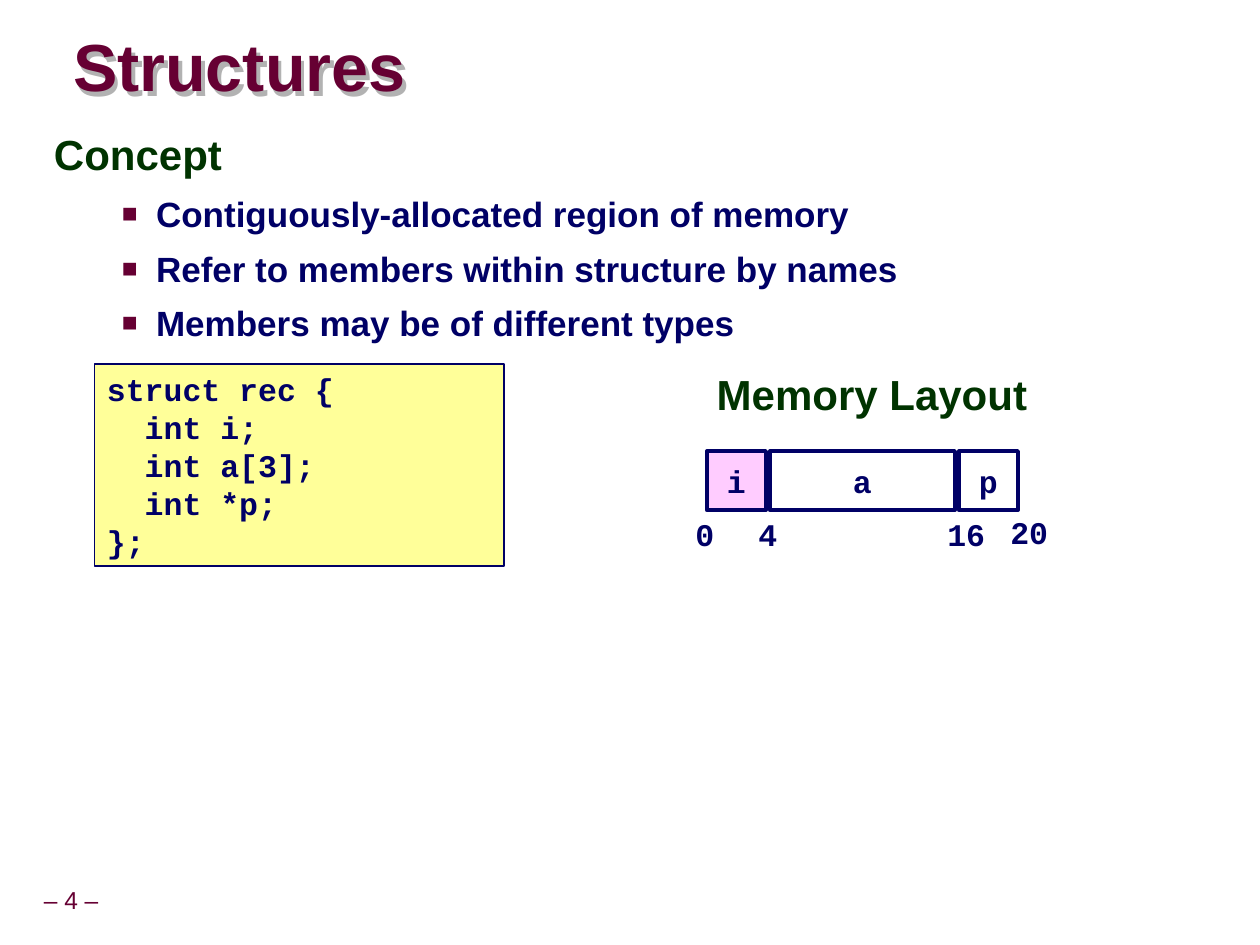
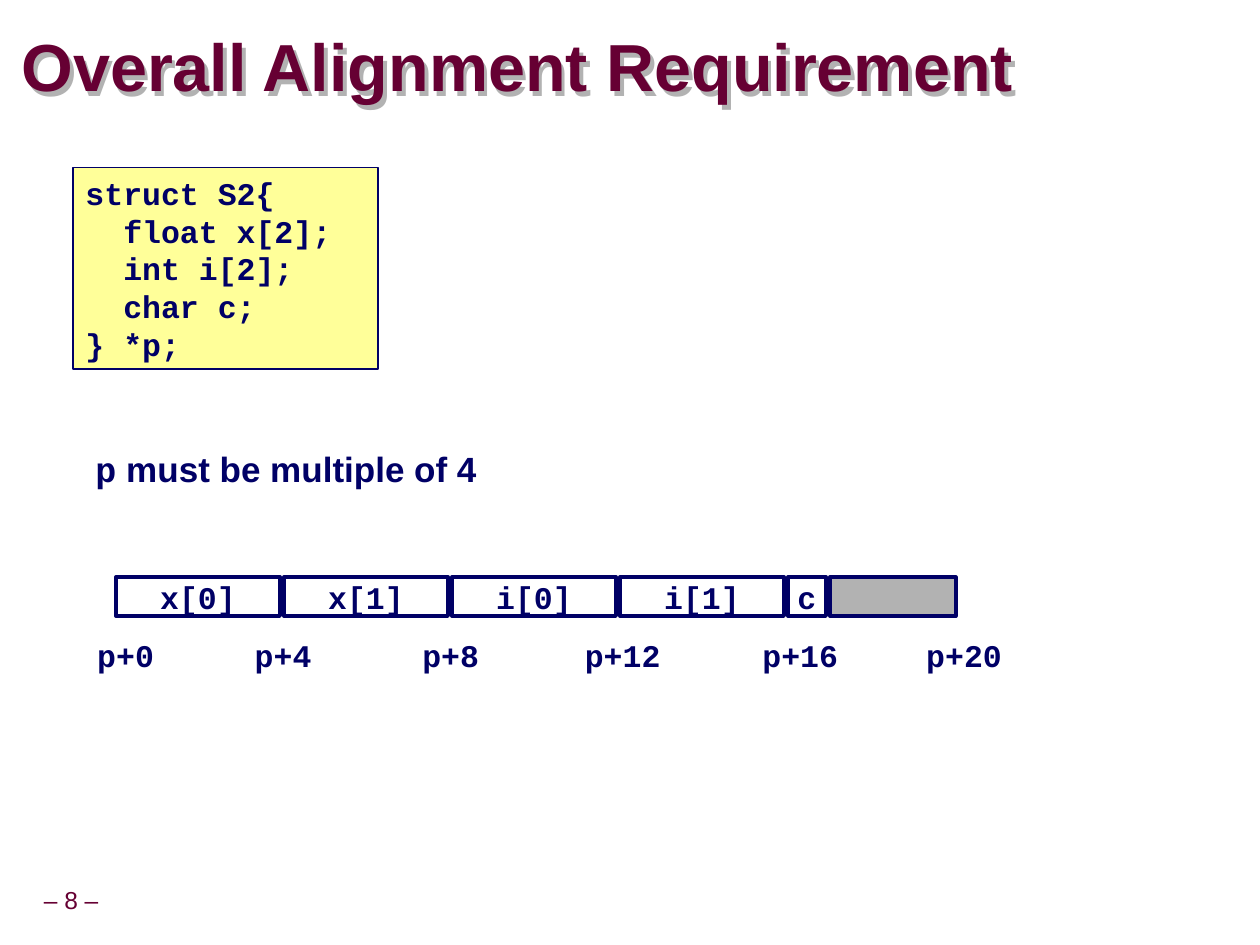
import pptx
import pptx.util
import pptx.dml.color
import pptx.enum.shapes
import pptx.enum.text
import pptx.oxml
import pptx.oxml.ns
from lxml import etree

Inches = pptx.util.Inches
Pt = pptx.util.Pt
RGBColor = pptx.dml.color.RGBColor
ALIGN = pptx.enum.text.PP_ALIGN
MIDDLE = pptx.enum.text.MSO_ANCHOR.MIDDLE

MAROON = RGBColor(0x66, 0x00, 0x33)
NAVY = RGBColor(0x00, 0x00, 0x66)
GREEN = RGBColor(0x00, 0x33, 0x00)
YELLOW = RGBColor(0xFF, 0xFF, 0x99)
PINK = RGBColor(0xFF, 0xCC, 0xFF)
WHITE = RGBColor(0xFF, 0xFF, 0xFF)
GREY = RGBColor(0xB2, 0xB2, 0xB2)
SANS, MONO = "Arial", "Courier New"
CELL_GAP = 0.03

STRUCTURES = {
    "title": ("Structures", 0.58, 5.74),
    "number": 4,
    "code": (0.75, 2.89, 3.25, ["struct rec {", "  int i;", "  int a[3];", "  int *p;", "};"]),
    "layout": {
        "left": 5.61, "top": 3.58, "height": 0.47, "byte": 0.125,
        "cells": [("i", 4, PINK), ("a", 12, WHITE), ("p", 4, WHITE)],
    },
    "offsets": [("0", 5.42, 4.04), ("4", 5.92, 4.04), ("16", 7.42, 4.04), ("20", 7.92, 4.02)],
    "offset_align": ALIGN.LEFT,
}
CONCEPT = "Concept"
CONCEPT_POINTS = [
    "Contiguously-allocated region of memory",
    "Refer to members within structure by names",
    "Members may be of different types",
]
LAYOUT_HEADING = "Memory Layout"

ALIGNMENT = {
    "title": ("Overall Alignment Requirement", 0.17, 10.11),
    "number": 8,
    "code": (0.58, 1.33, 2.42, ["struct S2{", "  float x[2];", "  int i[2];", "  char c;", "} *p;"]),
    "layout": {
        "left": 0.92, "top": 4.58, "height": 0.31, "byte": 1 / 3,
        "cells": [("x[0]", 4, WHITE), ("x[1]", 4, WHITE), ("i[0]", 4, WHITE),
                  ("i[1]", 4, WHITE), ("c", 1, WHITE), ("", 3, GREY)],
    },
    "offsets": [("p+0", 0.67, 5), ("p+4", 1.92, 5), ("p+8", 3.25, 5),
                ("p+12", 4.54, 5), ("p+16", 5.95, 5), ("p+20", 7.25, 5)],
    "offset_align": ALIGN.RIGHT,
}
RULE = [("p", MONO), (" must be multiple of 4", SANS)]


def style(p, size, color, font=SANS, bold=True, align=ALIGN.LEFT, spacing=None):
    p.alignment = align
    if spacing:
        p.line_spacing = spacing
    for r in p.runs:
        r.font.name = font
        r.font.size = Pt(size)
        r.font.bold = bold
        r.font.color.rgb = color


def add_text(s, text, left, top, width, height, size, color, wrap=True, **look):
    sp = s.shapes.add_textbox(Inches(left), Inches(top), Inches(width), Inches(height))
    tf = sp.text_frame
    tf.word_wrap = wrap
    tf.text = text
    style(tf.paragraphs[0], size, color, **look)
    return sp


def set_margins(tf, inset):
    tf.margin_left = tf.margin_right = tf.margin_top = tf.margin_bottom = Inches(inset)
    tf.vertical_anchor = MIDDLE


def add_box(s, left, top, width, height, fill, line_width):
    sp = s.shapes.add_shape(pptx.enum.shapes.MSO_SHAPE.RECTANGLE,
                            Inches(left), Inches(top), Inches(width), Inches(height))
    sp.shadow.inherit = False
    sp.fill.solid()
    sp.fill.fore_color.rgb = fill
    sp.line.color.rgb = NAVY
    sp.line.width = Pt(line_width)
    return sp


def add_title(s, text, left, width):
    sp = add_text(s, text, left, 0.25, width, 0.63, 38, MAROON, spacing=0.87)
    set_margins(sp.text_frame, 0)
    effects = etree.SubElement(sp._element.spPr, pptx.oxml.ns.qn("a:effectLst"))
    shadow = etree.SubElement(effects, pptx.oxml.ns.qn("a:outerShdw"),
                              dist=str(Inches(0.05)), dir="3180000", algn="ctr", rotWithShape="0")
    etree.SubElement(shadow, pptx.oxml.ns.qn("a:srgbClr"), val=str(GREY))


def add_code(s, left, top, width, lines):
    tf = add_box(s, left, top, width, 1.6, YELLOW, 1).text_frame
    tf.vertical_anchor = pptx.enum.text.MSO_ANCHOR.TOP
    tf.text = "\n".join(lines)
    for p in tf.paragraphs:
        style(p, 18, NAVY, MONO)


def add_layout(s, left, top, height, byte, cells):
    for label, size, fill in cells:
        width = size * byte - (CELL_GAP if label else 0)
        sp = add_box(s, left, top, width, height, fill, 2)
        if label:
            tf = sp.text_frame
            tf.word_wrap = False
            tf.vertical_anchor = MIDDLE
            tf.text = label
            style(tf.paragraphs[0], 18, NAVY, MONO, align=ALIGN.CENTER)
        left += size * byte


def add_bullet(p):
    pPr = p._p.get_or_add_pPr()
    pPr.set("marL", str(Inches(0.81)))
    pPr.set("indent", str(Inches(-0.27)))
    color = etree.SubElement(pPr, pptx.oxml.ns.qn("a:buClr"))
    etree.SubElement(color, pptx.oxml.ns.qn("a:srgbClr"), val=str(MAROON))
    etree.SubElement(pPr, pptx.oxml.ns.qn("a:buSzPct"), val="75000")
    etree.SubElement(pPr, pptx.oxml.ns.qn("a:buFont"), typeface=SANS)
    etree.SubElement(pPr, pptx.oxml.ns.qn("a:buChar"), char="■")


def add_concept(s):
    tf = add_text(s, CONCEPT, 0.33, 1, 8.22, 6.05, 24, GREEN, spacing=0.95).text_frame
    for point in CONCEPT_POINTS:
        p = tf.add_paragraph()
        p.text = point
        add_bullet(p)
        p.space_before = Pt(7.2)
        style(p, 20, NAVY)


def add_rule(s):
    sp = add_text(s, "", 0.66, 3.5, 3.23, 0.44, 20, NAVY)
    p = sp.text_frame.paragraphs[0]
    for text, font in RULE:
        p.add_run().text = text
    style(p, 20, NAVY)
    for r, (text, font) in zip(p.runs, RULE):
        r.font.name = font


def add_slide(prs, content):
    s = prs.slides.add_slide(prs.slide_layouts[6])
    footer = add_text(s, f"– {content['number']} –", -0.09, 7, 1.31, 0.31, 14, MAROON,
                      wrap=False, bold=False, align=ALIGN.CENTER, spacing=0.9)
    set_margins(footer.text_frame, 0.05)
    add_title(s, *content["title"])
    add_code(s, *content["code"])
    add_layout(s, **content["layout"])
    for label, left, top in content["offsets"]:
        add_text(s, label, left, top, 0.2 + 0.15 * len(label), 0.4, 18, NAVY,
                 wrap=False, font=MONO, align=content["offset_align"])
    return s


def main():
    prs = pptx.Presentation()
    prs.slide_width = Inches(10)
    prs.slide_height = Inches(7.5)

    s = add_slide(prs, STRUCTURES)
    add_concept(s)
    add_text(s, LAYOUT_HEADING, 5.08, 2.92, 3.68, 0.45, 24, GREEN,
             align=ALIGN.CENTER, spacing=0.9)

    s = add_slide(prs, ALIGNMENT)
    add_rule(s)

    prs.save("out.pptx")


if __name__ == "__main__":
    main()
